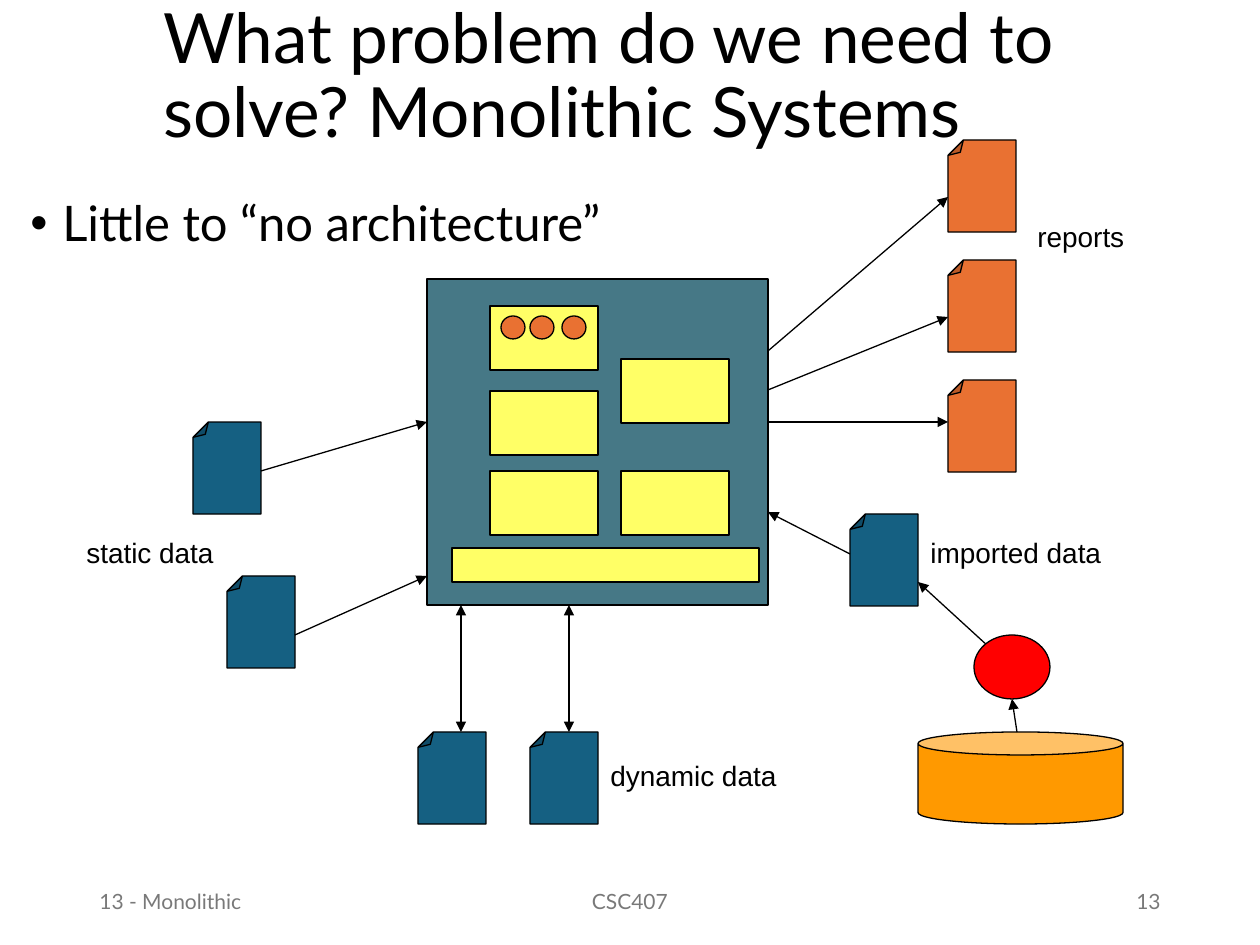
from dataclasses import dataclass

from lxml import etree
from pptx import Presentation
from pptx.dml.color import RGBColor
from pptx.enum.shapes import MSO_CONNECTOR, MSO_SHAPE
from pptx.enum.text import MSO_ANCHOR, PP_ALIGN
from pptx.oxml.ns import qn
from pptx.shapes.autoshape import Shape
from pptx.util import Emu, Pt

RECTANGLE, OVAL = MSO_SHAPE.RECTANGLE, MSO_SHAPE.OVAL
CAN, DOCUMENT = MSO_SHAPE.CAN, MSO_SHAPE.FOLDED_CORNER
STRAIGHT = MSO_CONNECTOR.STRAIGHT
LEFT, CENTER, RIGHT = PP_ALIGN.LEFT, PP_ALIGN.CENTER, PP_ALIGN.RIGHT
TOP, MIDDLE = MSO_ANCHOR.TOP, MSO_ANCHOR.MIDDLE
EMU_PER_PX = 914400 / 126


@dataclass(frozen=True)
class Theme:
    black: str = "000000"
    footer: str = "797979"
    data: str = "156082"
    report: str = "E97132"
    system: str = "467886"
    module: str = "FFFF66"
    database: str = "FF9900"
    process: str = "FF0000"
    body_font: str = "Lato"
    label_font: str = "Arial"
    title_size: float = 39.6
    body_size: float = 28
    label_size: float = 16
    footer_size: float = 12
    line_width: float = 0.75


THEME = Theme()


@dataclass(frozen=True)
class Box:
    left: int
    top: int
    width: int
    height: int


@dataclass(frozen=True)
class Text:
    text: str
    box: Box
    size: float
    font: str = THEME.body_font
    color: str = THEME.black
    align: PP_ALIGN = LEFT
    anchor: MSO_ANCHOR = MIDDLE
    wrap: bool = True
    line_spacing: float = 1.0
    bullet: bool = False


@dataclass(frozen=True)
class Arrow:
    start: tuple[int, int]
    end: tuple[int, int]
    two_way: bool = False


def footer(text: str, left: int, width: int, align: PP_ALIGN) -> Text:
    return Text(text, Box(left, 876, width, 50), THEME.footer_size,
                color=THEME.footer, align=align)


def label(text: str, left: int, top: int, width: int) -> Text:
    return Text(text, Box(left, top, width, 47), THEME.label_size,
                THEME.label_font, anchor=TOP, wrap=False)


TEXTS = (
    footer("13 - Monolithic", 87, 283, LEFT),
    footer("CSC407", 417, 426, CENTER),
    footer("13", 890, 283, RIGHT),
    Text("What problem do we need to solve? Monolithic Systems",
         Box(151, 0, 1086, 156), THEME.title_size, line_spacing=0.9),
    Text("Little to “no architecture”", Box(18, 193, 1071, 110),
         THEME.body_size, anchor=TOP, line_spacing=0.9, bullet=True),
    label("static data", 74, 529, 154),
    label("dynamic data", 598, 752, 192),
    label("imported data", 918, 529, 197),
    label("reports", 1025, 213, 112),
)
DATA_FILES = ((193, 422), (227, 576), (418, 732), (530, 732), (850, 514))
REPORTS = tuple((948, 140 + 120 * row) for row in range(3))
MODULES = ((490, 306), (490, 391), (490, 471), (621, 359), (621, 471))
COMPONENT_LEFTS = (501, 530, 562)
SYSTEM = Box(427, 279, 341, 326)
SYSTEM_RIGHT = SYSTEM.left + SYSTEM.width
SYSTEM_BOTTOM = SYSTEM.top + SYSTEM.height
ARROWS = (
    Arrow((261, 471), (SYSTEM.left, 422)),
    Arrow((295, 635), (SYSTEM.left, 576)),
    Arrow((461, 732), (461, SYSTEM_BOTTOM), two_way=True),
    Arrow((569, 732), (569, SYSTEM_BOTTOM), two_way=True),
    Arrow((1017, 732), (1012, 699)),
    Arrow((1012, 668), (918, 582)),
    Arrow((850, 554), (SYSTEM_RIGHT, 512)),
    Arrow((SYSTEM_RIGHT, 422), (948, 422)),
    Arrow((SYSTEM_RIGHT, 390), (948, 317)),
    Arrow((SYSTEM_RIGHT, 351), (948, 197)),
)


def px(value: int) -> Emu:
    return Emu(round(value * EMU_PER_PX))


def place(box: Box) -> tuple[Emu, Emu, Emu, Emu]:
    return px(box.left), px(box.top), px(box.width), px(box.height)


def add_text(shapes, item: Text) -> None:
    frame = shapes.add_textbox(*place(item.box)).text_frame
    frame.word_wrap = item.wrap
    frame.vertical_anchor = item.anchor
    frame.text = item.text
    paragraph = frame.paragraphs[0]
    paragraph.alignment = item.align
    paragraph.line_spacing = item.line_spacing
    if item.bullet:
        properties = paragraph._p.get_or_add_pPr()
        indent = px(32)
        properties.set("marL", str(indent))
        properties.set("indent", str(-indent))
        etree.SubElement(properties, qn("a:buFont"), typeface="Arial")
        etree.SubElement(properties, qn("a:buChar"), char="•")
    font = paragraph.runs[0].font
    font.name = item.font
    font.size = Pt(item.size)
    font.color.rgb = RGBColor.from_string(item.color)


def add_outlined(shapes, kind: MSO_SHAPE, box: Box, fill: str) -> Shape:
    shape = shapes.add_shape(kind, *place(box))
    shape.shadow.inherit = False
    shape.fill.solid()
    shape.fill.fore_color.rgb = RGBColor.from_string(fill)
    shape.line.color.rgb = RGBColor.from_string(THEME.black)
    shape.line.width = Pt(THEME.line_width)
    return shape


def add_document(shapes, corner: tuple[int, int], fill: str) -> None:
    shape = add_outlined(shapes, DOCUMENT, Box(*corner, 68, 92), fill)
    shape.rotation = 180
    geometry = shape._element.spPr.find(qn("a:prstGeom"))
    adjustments = geometry.get_or_add_avLst()
    etree.SubElement(adjustments, qn("a:gd"), name="adj", fmla="val 22600")


def add_arrow(shapes, arrow: Arrow) -> None:
    connector = shapes.add_connector(
        STRAIGHT, *(px(value) for value in arrow.start + arrow.end))
    connector.line.color.rgb = RGBColor.from_string(THEME.black)
    connector.line.width = Pt(THEME.line_width)
    line = connector.line._get_or_add_ln()
    if arrow.two_way:
        etree.SubElement(line, qn("a:headEnd"), type="triangle")
    etree.SubElement(line, qn("a:tailEnd"), type="triangle")
    etree.SubElement(connector._element.spPr, qn("a:effectLst"))


def add_system(shapes) -> None:
    """Draw the monolith with its modules as one group."""
    group = shapes.add_group_shape().shapes
    add_outlined(group, RECTANGLE, SYSTEM, THEME.system)
    for corner in MODULES:
        add_outlined(group, RECTANGLE, Box(*corner, 108, 64), THEME.module)
    add_outlined(group, RECTANGLE, Box(452, 548, 307, 34), THEME.module)
    for left in COMPONENT_LEFTS:
        add_outlined(group, OVAL, Box(left, 316, 24, 23), THEME.report)


def main() -> None:
    presentation = Presentation()
    presentation.slide_width, presentation.slide_height = px(1260), px(945)
    slide = presentation.slides.add_slide(presentation.slide_layouts[6])
    shapes = slide.shapes
    for item in TEXTS:
        add_text(shapes, item)
    for corner in DATA_FILES:
        add_document(shapes, corner, THEME.data)
    for corner in REPORTS:
        add_document(shapes, corner, THEME.report)
    add_outlined(shapes, CAN, Box(918, 732, 205, 92), THEME.database)
    add_system(shapes)
    for arrow in ARROWS:
        add_arrow(shapes, arrow)
    add_outlined(shapes, OVAL, Box(974, 635, 76, 64), THEME.process)
    presentation.save("out.pptx")


if __name__ == "__main__":
    main()
